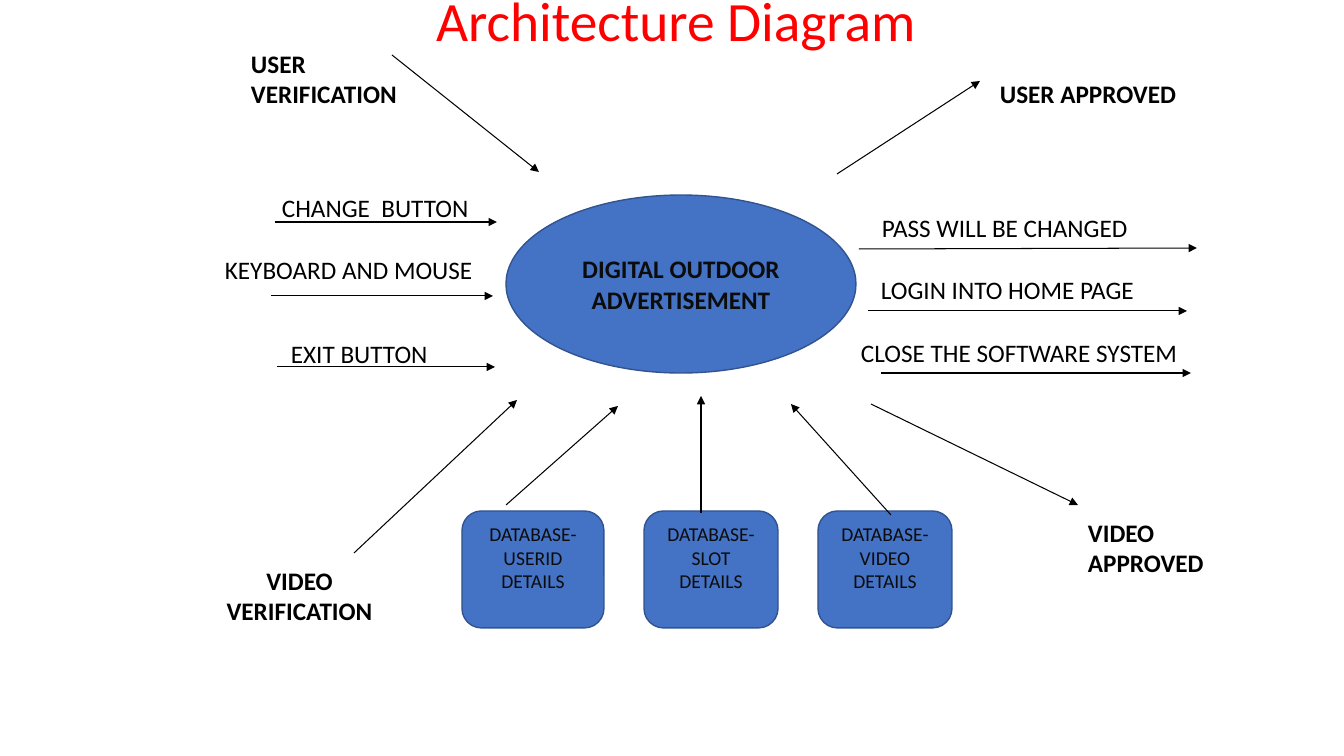
from lxml.etree import SubElement
from pptx import Presentation
from pptx.dml.color import RGBColor
from pptx.enum.shapes import MSO_CONNECTOR, MSO_SHAPE
from pptx.enum.text import MSO_ANCHOR, MSO_AUTO_SIZE, PP_ALIGN
from pptx.oxml.ns import qn
from pptx.util import Emu, Pt

BLUE = RGBColor(0x44, 0x72, 0xC4)
OUTLINE = RGBColor(0x31, 0x53, 0x8F)
INK = RGBColor(0x0C, 0x0C, 0x0C)
BLACK = RGBColor(0, 0, 0)
RED = RGBColor(0xFF, 0, 0)
FONT = "Calibri"
LEFT, CENTER = PP_ALIGN.LEFT, PP_ALIGN.CENTER

# Content: boxes are (left, top, width, height) in px
TITLE = ("Architecture Diagram", (426, 11, 887, 25))
SYSTEM = ("DIGITAL OUTDOOR ADVERTISEMENT", (506, 195, 350, 178))
DB_TOP, DB_HEIGHT = 511, 117
DATABASES = [  # left, width, lines
    (462, 142, ["DATABASE-", "USERID DETAILS"]),
    (644, 134, ["DATABASE-", "SLOT", "DETAILS"]),
    (818, 134, ["DATABASE-", "VIDEO DETAILS"]),
]
LABELS = [  # text, left, top, width
    ("CHANGE  BUTTON", 272, 187, 227),
    ("KEYBOARD AND MOUSE", 215, 249, 284),
    ("EXIT BUTTON", 281, 333, 202),
    ("PASS WILL BE CHANGED", 872, 207, 325),
    ("LOGIN INTO HOME PAGE", 871, 269, 294),
    ("CLOSE THE SOFTWARE SYSTEM", 851, 332, 368),
]
STAGES = [  # text, box, alignment
    ("USER VERIFICATION", (241, 43, 176, 71), LEFT),
    ("VIDEO VERIFICATION", (207, 560, 185, 71), CENTER),
    ("USER APPROVED", (990, 73, 227, 40), LEFT),
    ("VIDEO APPROVED", (1078, 512, 173, 71), LEFT),
]
ARROWS = [  # x1, y1, x2, y2
    (275, 222, 497, 222), (271, 296, 493, 296), (277, 367, 495, 367),
    (859, 249, 1197, 248), (868, 311, 1187, 311), (881, 373, 1191, 373),
    (392, 55, 539, 172), (354, 553, 517, 400),
    (837, 174, 980, 81), (871, 404, 1078, 505),
    (506, 505, 618, 406), (701, 513, 701, 396), (891, 515, 791, 404),
]


def px(n):
    return Emu(round(n * 914400 / 100.8))


def write(sp, lines, size, color, bold=False, align=LEFT, anchor=MSO_ANCHOR.TOP):
    tf = sp.text_frame
    tf.word_wrap = True
    tf.auto_size = MSO_AUTO_SIZE.NONE
    tf.vertical_anchor = anchor
    tf.text = "\n".join(lines)
    for p in tf.paragraphs:
        p.alignment = align
        p.font.name, p.font.size = FONT, Pt(size)
        p.font.bold, p.font.color.rgb = bold, color
    return tf


def add_blue(kind, box):
    sp = s.shapes.add_shape(kind, *map(px, box))
    sp.shadow.inherit = False
    sp.fill.solid()
    sp.fill.fore_color.rgb = BLUE
    sp.line.color.rgb = OUTLINE
    sp.line.width = Pt(1)
    return sp


def add_label(text, box, bold=False, align=LEFT):
    write(s.shapes.add_textbox(*map(px, box)), [text], 18, BLACK, bold, align)


def add_arrow(ends):
    line = s.shapes.add_connector(MSO_CONNECTOR.STRAIGHT, *map(px, ends))
    line.line.color.rgb = BLACK
    line.line.width = Pt(0.75)
    SubElement(line.line._get_or_add_ln(), qn("a:tailEnd"), type="triangle")
    SubElement(line._element.spPr, qn("a:effectLst"))


prs = Presentation()
prs.slide_width, prs.slide_height = px(1344), px(756)
s = prs.slides.add_slide(prs.slide_layouts[5])

# Title
text, box = TITLE
title = s.shapes.title
title.left, title.top, title.width, title.height = map(px, box)
tf = write(title, [text], 39.6, RED, anchor=MSO_ANCHOR.MIDDLE)
tf.paragraphs[0].line_spacing = 0.9

# Central system
text, box = SYSTEM
write(add_blue(MSO_SHAPE.OVAL, box), [text], 18, INK, True, CENTER, MSO_ANCHOR.MIDDLE)

# Databases, with their text raised by a deeper bottom margin
for left, width, lines in DATABASES:
    sp = add_blue(MSO_SHAPE.ROUNDED_RECTANGLE, (left, DB_TOP, width, DB_HEIGHT))
    tf = write(sp, lines, 14, INK, align=CENTER, anchor=MSO_ANCHOR.MIDDLE)
    tf.margin_bottom = px(29)

# Labels and arrows
for text, left, top, width in LABELS:
    add_label(text, (left, top, width, 40))
for text, box, align in STAGES:
    add_label(text, box, True, align)
for ends in ARROWS:
    add_arrow(ends)

prs.save("out.pptx")
